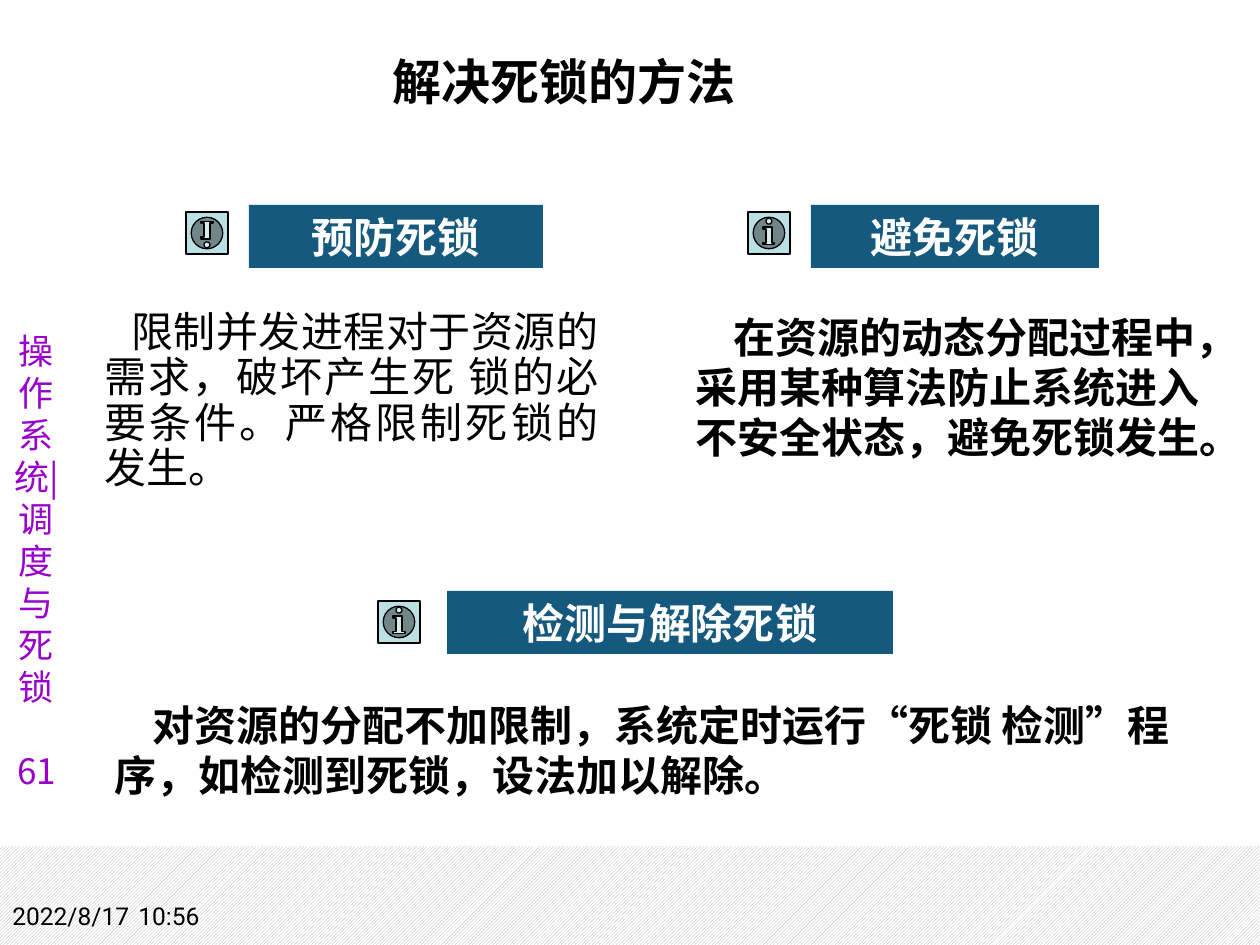
import pptx
import pptx.util
import pptx.dml.color
import pptx.enum.dml
import pptx.enum.shapes
import pptx.enum.text
import pptx.oxml.ns
import lxml.etree

PX = 914400 // 126
CJK, LATIN, SERIF = "Noto Sans CJK SC", "Roboto", "Times New Roman"
BLACK, WHITE, PURPLE = "000000", "FFFFFF", "9900CC"
BANNER, ICON = "15597E", "BBE0E3"
ICON_SIZE = 42

TITLE = ("解决死锁的方法", (45, 45, 996, 63))
CHAPTER = ["操作系统|调度与死锁", "61"]
DATE = "2022/8/17\t10:56"
# heading, its box, icon corner, icon flipped
HEADINGS = [
    ("预防死锁", (249, 205, 294, 63), (186, 212), True),
    ("避免死锁", (811, 205, 288, 63), (748, 212), False),
    ("检测与解除死锁", (447, 591, 446, 63), (378, 601), False),
]
# text, its box, format
METHODS = [
    ("限制并发进程对于资源的需求，破坏产生死 锁的必要条件。严格限制死锁的发生。",
     (44, 305, 567, 210),
     dict(align="JUSTIFY", margin=48, indent=27, spacing=0.9)),
    ("在资源的动态分配过程中，采用某种算法防止系统进入不安全状态，避免死锁发生。",
     (683, 305, 530, 217), dict(bold=True, indent=38, grow=True)),
    ("对资源的分配不加限制，系统定时运行“死锁 检测”程序，如检测到死锁，设法加以解除。",
     (102, 693, 1081, 115), dict(bold=True, indent=38, grow=True)),
]


def emu(*lengths):
    return [pptx.util.Emu(length * PX) for length in lengths]


def rgb(color):
    return pptx.dml.color.RGBColor.from_string(color)


def write(shape, paragraphs, size=24, font=CJK, color=BLACK, bold=False,
          align="LEFT", anchor="TOP", margin=0, indent=0, spacing=None,
          gap=0, grow=False):
    frame = shape.text_frame
    frame.word_wrap = True
    frame.vertical_anchor = getattr(pptx.enum.text.MSO_ANCHOR, anchor)
    fit = pptx.enum.text.MSO_AUTO_SIZE
    frame.auto_size = fit.SHAPE_TO_FIT_TEXT if grow else fit.NONE
    for index, text in enumerate(paragraphs):
        paragraph = frame.add_paragraph() if index else frame.paragraphs[0]
        paragraph.alignment = getattr(pptx.enum.text.PP_ALIGN, align)
        if spacing:
            paragraph.line_spacing = spacing
        if index:
            paragraph.space_before = pptx.util.Pt(gap)
        properties = paragraph._p.get_or_add_pPr()
        properties.set("marL", str(margin * PX))
        properties.set("indent", str(indent * PX))
        run = paragraph.add_run()
        run.text = text
        run.font.size = pptx.util.Pt(size)
        run.font.bold = bold
        run.font.name = font
        run.font.color.rgb = rgb(color)
        east_asian = lxml.etree.SubElement(
            run._r.get_or_add_rPr(), pptx.oxml.ns.qn("a:ea"))
        east_asian.set("typeface", CJK)


def add_text(slide, paragraphs, box, **style):
    shape = slide.shapes.add_textbox(*emu(*box))
    write(shape, paragraphs, **style)
    return shape


def add_preset(slide, kind, box, fill=None, line=None):
    preset = getattr(pptx.enum.shapes.MSO_SHAPE, kind)
    shape = slide.shapes.add_shape(preset, *emu(*box))
    shape.shadow.inherit = False
    if fill:
        shape.fill.solid()
        shape.fill.fore_color.rgb = rgb(fill)
    if line:
        shape.line.color.rgb = rgb(line)
        shape.line.width = pptx.util.Pt(0.75)
    else:
        shape.line.fill.background()
    return shape


def add_footer(slide):
    band = add_preset(slide, "RECTANGLE", (0, 846, 1260, 99))
    band.fill.patterned()
    band.fill.pattern = pptx.enum.dml.MSO_PATTERN.DARK_UPWARD_DIAGONAL
    band.fill.fore_color.rgb = rgb("B2B2B2")
    band.fill.back_color.rgb = rgb(WHITE)
    date = add_text(slide, [DATE], (0, 895, 1260, 50), size=14, font=LATIN)
    properties = date.text_frame.paragraphs[0]._p.get_or_add_pPr()
    stops = lxml.etree.SubElement(properties, pptx.oxml.ns.qn("a:tabLst"))
    stop = lxml.etree.SubElement(stops, pptx.oxml.ns.qn("a:tab"))
    stop.set("pos", str(142 * PX))
    stop.set("algn", "l")


def add_heading(slide, text, box, corner, flipped):
    banner = add_preset(slide, "RECTANGLE", box, fill=BANNER)
    write(banner, [text], font=SERIF, color=WHITE, bold=True,
          align="CENTER", grow=True)
    icon = add_preset(slide, "ACTION_BUTTON_INFORMATION",
                      (*corner, ICON_SIZE, ICON_SIZE), fill=ICON, line=BLACK)
    if flipped:
        icon._element.spPr.find(pptx.oxml.ns.qn("a:xfrm")).set("flipV", "1")


def main():
    deck = pptx.Presentation()
    deck.slide_width, deck.slide_height = emu(1260, 945)
    slide = deck.slides.add_slide(deck.slide_layouts[5])

    text, box = TITLE
    title = slide.shapes.title
    title.left, title.top, title.width, title.height = emu(*box)
    write(title, [text], size=28, bold=True, align="CENTER", margin=42)

    add_footer(slide)
    add_text(slide, CHAPTER, (0, 252, 73, 546), size=20, color=PURPLE,
             align="CENTER", anchor="BOTTOM", gap=24)
    for heading in HEADINGS:
        add_heading(slide, *heading)
    for text, box, style in METHODS:
        add_text(slide, [text], box, **style)
    deck.save("out.pptx")


if __name__ == "__main__":
    main()
